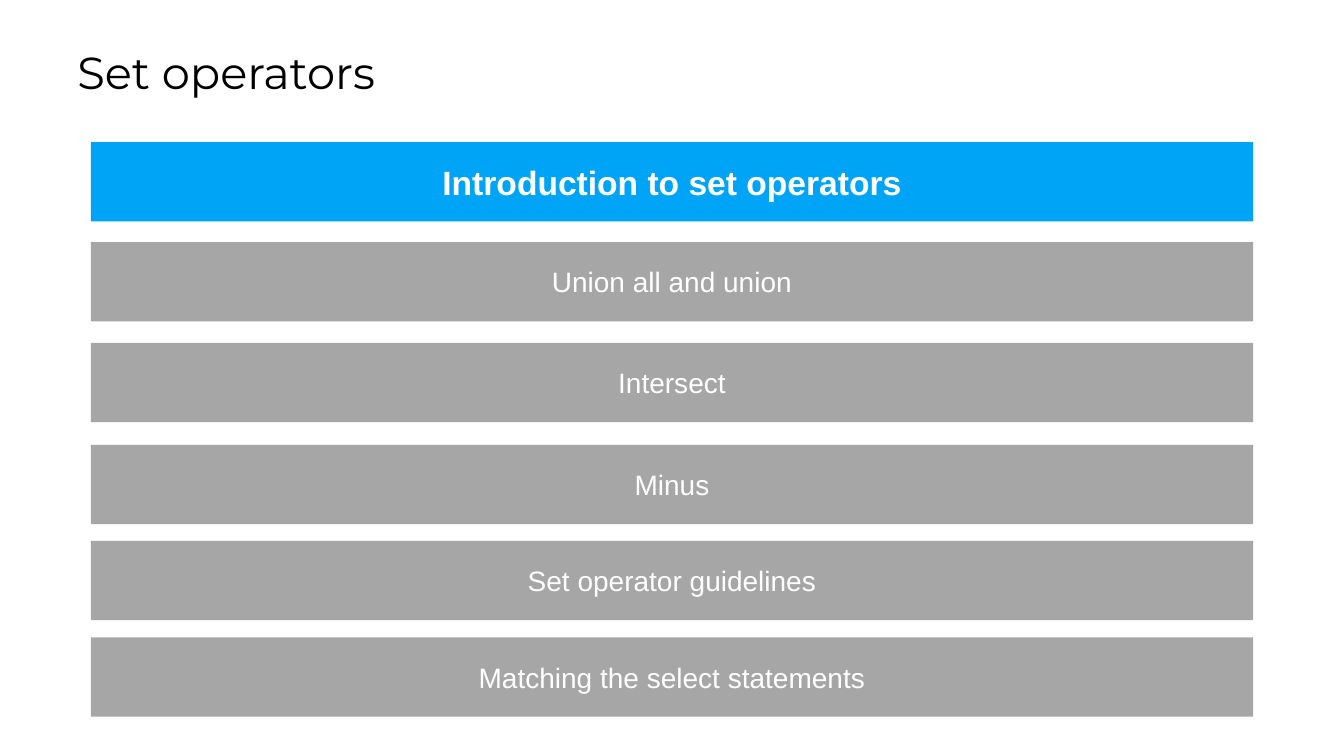
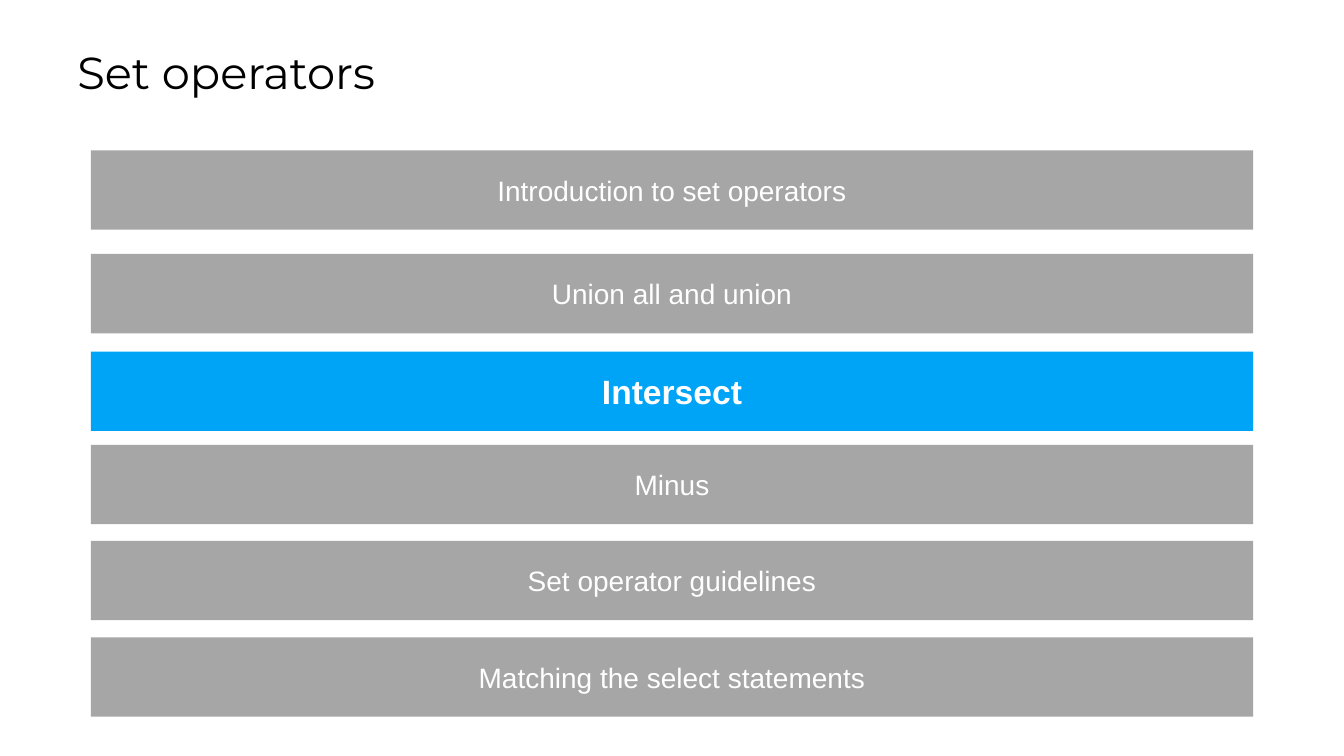
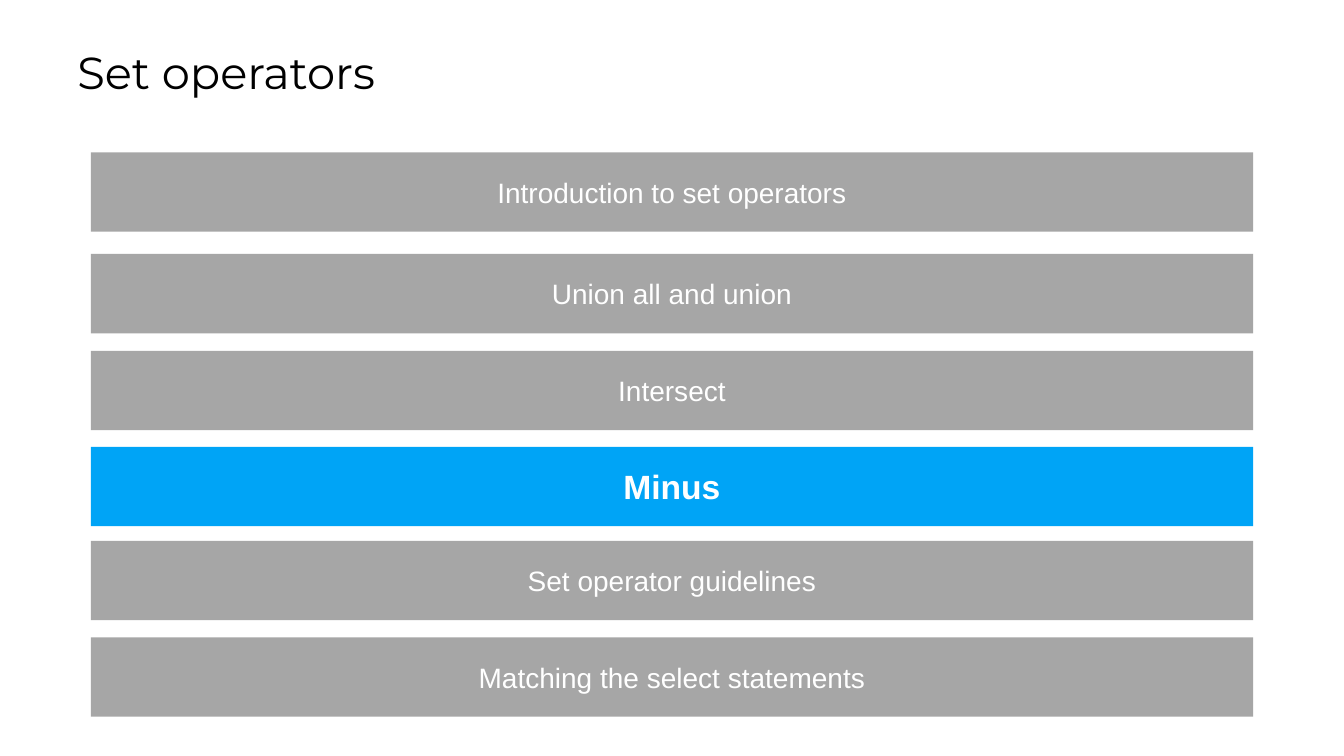
from dataclasses import dataclass

from pptx import Presentation
from pptx.dml.color import RGBColor
from pptx.enum.shapes import MSO_SHAPE
from pptx.enum.text import MSO_ANCHOR, MSO_AUTO_SIZE, PP_ALIGN
from pptx.slide import Slide
from pptx.text.text import Font
from pptx.util import Cm, Pt

TITLE = "Set operators"
TOPICS = (
    "Introduction to set operators",
    "Union all and union",
    "Intersect",
    "Minus",
    "Set operator guidelines",
    "Matching the select statements",
)
BLACK, WHITE = "000000", "FFFFFF"

# Bar geometry in centimetres
BAR_LEFT, BAR_WIDTH, BAR_HEIGHT = 2.29, 29.29, 2.0
LOWER_TOPS = (13.63, 16.06)


@dataclass(frozen=True)
class BarStyle:
    fill: str
    size: int
    bold: bool


@dataclass(frozen=True)
class Agenda:
    current: str
    upper_tops: tuple[float, ...]


NORMAL = BarStyle("A6A6A6", 20, False)
CURRENT = BarStyle("00A4F6", 24, True)

AGENDAS = (
    Agenda("Introduction to set operators", (3.58, 6.1, 8.64, 11.21)),
    Agenda("Intersect", (3.79, 6.4, 8.86, 11.21)),
    Agenda("Minus", (3.84, 6.4, 8.84, 11.26)),
)


def color(value: str) -> RGBColor:
    return RGBColor.from_string(value)


def set_font(font: Font, name: str, size: int, text_color: str, bold: bool = False) -> None:
    font.name = name
    font.size = Pt(size)
    font.bold = bold
    font.color.rgb = color(text_color)


def add_title(page: Slide) -> None:
    box = page.shapes.add_textbox(Cm(1.7), Cm(0.99), Cm(30.63), Cm(1.63))
    frame = box.text_frame
    frame.word_wrap = True
    frame.auto_size = MSO_AUTO_SIZE.SHAPE_TO_FIT_TEXT
    frame.vertical_anchor = MSO_ANCHOR.MIDDLE
    para = frame.paragraphs[0]
    para.text = TITLE
    set_font(para.font, "Montserrat", 32, BLACK)


def add_bar(page: Slide, topic: str, top: float, style: BarStyle) -> None:
    bar = page.shapes.add_shape(
        MSO_SHAPE.RECTANGLE, Cm(BAR_LEFT), Cm(top), Cm(BAR_WIDTH), Cm(BAR_HEIGHT)
    )
    bar.shadow.inherit = False
    bar.fill.solid()
    bar.fill.fore_color.rgb = color(style.fill)
    bar.line.fill.background()
    frame = bar.text_frame
    frame.word_wrap = True
    frame.vertical_anchor = MSO_ANCHOR.MIDDLE
    para = frame.paragraphs[0]
    para.text = topic
    para.alignment = PP_ALIGN.CENTER
    set_font(para.font, "Arial", style.size, WHITE, style.bold)


def main() -> None:
    deck = Presentation()
    deck.slide_width, deck.slide_height = Cm(33.87), Cm(19.05)
    blank = deck.slide_layouts[6]

    # One page per agenda, with its current topic highlighted
    for agenda in AGENDAS:
        page = deck.slides.add_slide(blank)
        add_title(page)
        for topic, top in zip(TOPICS, agenda.upper_tops + LOWER_TOPS):
            add_bar(page, topic, top, CURRENT if topic == agenda.current else NORMAL)

    deck.save("out.pptx")


if __name__ == "__main__":
    main()
